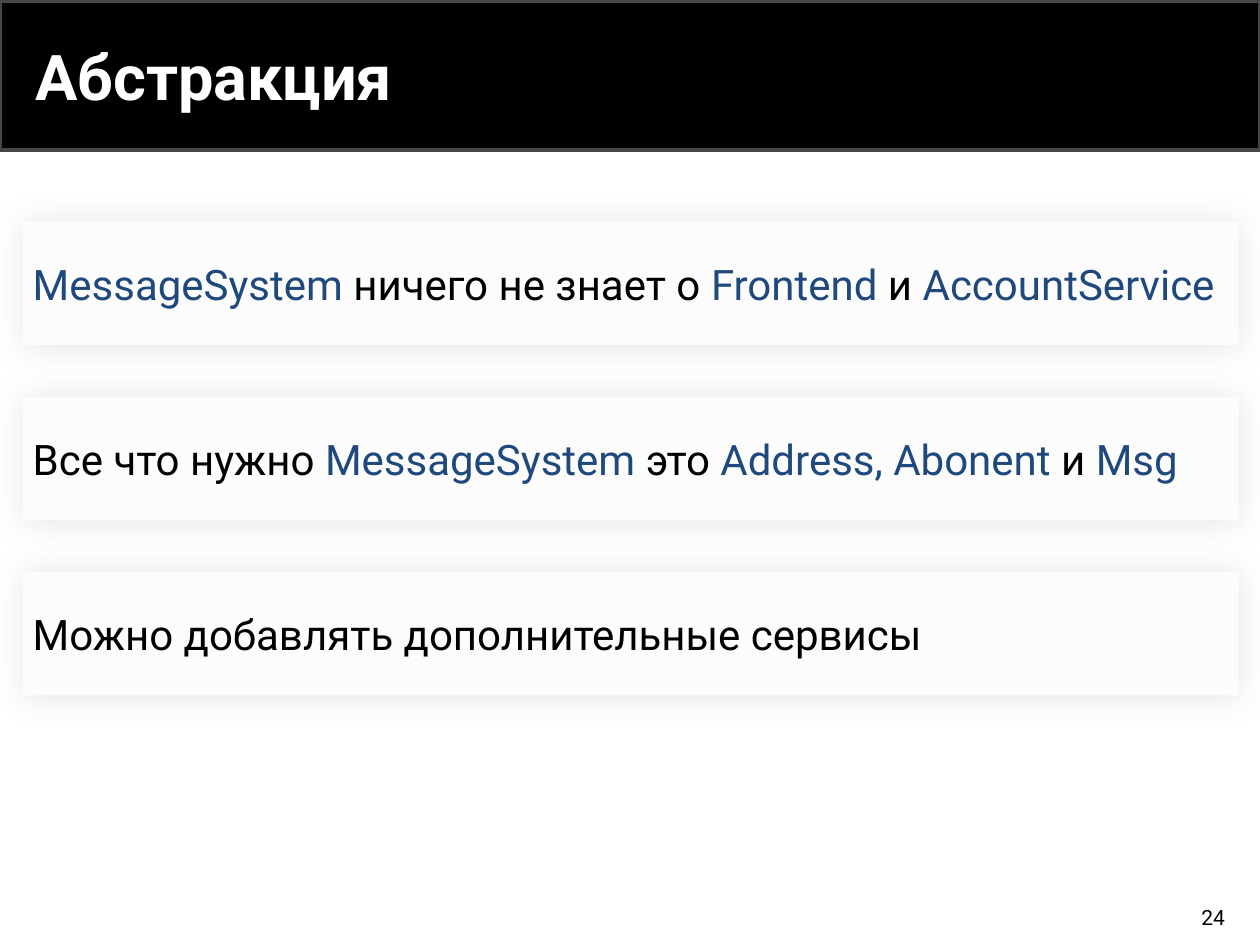
from lxml.etree import SubElement
from pptx import Presentation
from pptx.dml.color import RGBColor
from pptx.enum.shapes import MSO_SHAPE
from pptx.enum.text import MSO_ANCHOR, PP_ALIGN
from pptx.oxml.ns import qn
from pptx.util import Inches, Pt

BLACK, WHITE, BLUE = "000000", "FFFFFF", "1F497D"
PALE, GRAY = "FCFCFC", "464646"


def tint(code):
    return RGBColor.from_string(code)


def write(shape, runs, size=24, bold=False, align=PP_ALIGN.LEFT, pad=(0.1, 0.05), font="Roboto"):
    """Fill a shape with one paragraph of (text, colour) runs."""
    frame = shape.text_frame
    frame.word_wrap = True
    frame.vertical_anchor = MSO_ANCHOR.MIDDLE
    frame.margin_left = frame.margin_right = Inches(pad[0])
    frame.margin_top = frame.margin_bottom = Inches(pad[1])
    para = frame.paragraphs[0]
    para.alignment = align
    for text, color in runs:
        run = para.add_run()
        run.text = text
        run.font.name = font
        run.font.size = Pt(size)
        run.font.bold = bold
        run.font.color.rgb = tint(color)


class Deck:
    def __init__(self):
        self.show = Presentation()
        self.show.slide_width = Inches(10)
        self.show.slide_height = Inches(7.5)
        self.slide = self.show.slides.add_slide(self.show.slide_layouts[6])

    def rect(self, x, y, w, h, fill, line=None):
        box = self.slide.shapes.add_shape(
            MSO_SHAPE.RECTANGLE, Inches(x), Inches(y), Inches(w), Inches(h))
        box.shadow.inherit = False
        box.fill.solid()
        box.fill.fore_color.rgb = tint(fill)
        if line:
            box.line.color.rgb = tint(line)
            box.line.width = Pt(2)
        else:
            box.line.fill.background()
        return box

    def card(self, x, y, w, h, runs):
        box = self.rect(x, y, w, h, PALE)
        # Soft glow-like shadow around the card
        effects = box.element.spPr.find(qn("a:effectLst"))
        shadow = SubElement(effects, qn("a:outerShdw"), blurRad=str(Pt(19)),
                            dist="0", dir="0", algn="ctr", rotWithShape="0")
        color = SubElement(shadow, qn("a:srgbClr"), val=BLACK)
        SubElement(color, qn("a:alpha"), val="10000")
        write(box, runs, pad=(0.08, 0.04))

    def label(self, x, y, w, h, text, color, **style):
        box = self.slide.shapes.add_textbox(Inches(x), Inches(y), Inches(w), Inches(h))
        write(box, [(text, color)], **style)


def main():
    deck = Deck()

    # Header
    deck.rect(0, 0.01, 10, 1.18, BLACK, GRAY)

    # Cards
    cards = [
        [("MessageSystem ", BLUE), ("ничего не знает о ", BLACK), ("Frontend ", BLUE),
         ("и ", BLACK), ("AccountService", BLUE)],
        [("Все что нужно ", BLACK), ("MessageSystem ", BLUE), ("это ", BLACK),
         ("Address, Abonent ", BLUE), ("и ", BLACK), ("Msg", BLUE)],
        [("Можно добавлять дополнительные сервисы", BLACK)],
    ]
    for i, runs in enumerate(cards):
        deck.card(0.18, 1.76 + 1.39 * i, 9.65, 0.98, runs)

    # Title and page number
    deck.label(0.18, 0.1, 8.15, 1, "Абстракция", WHITE, size=36, bold=True)
    deck.label(7.54, 7.13, 2.28, 0.3, "24", BLACK, size=12, align=PP_ALIGN.RIGHT)

    deck.show.save("out.pptx")


if __name__ == "__main__":
    main()
